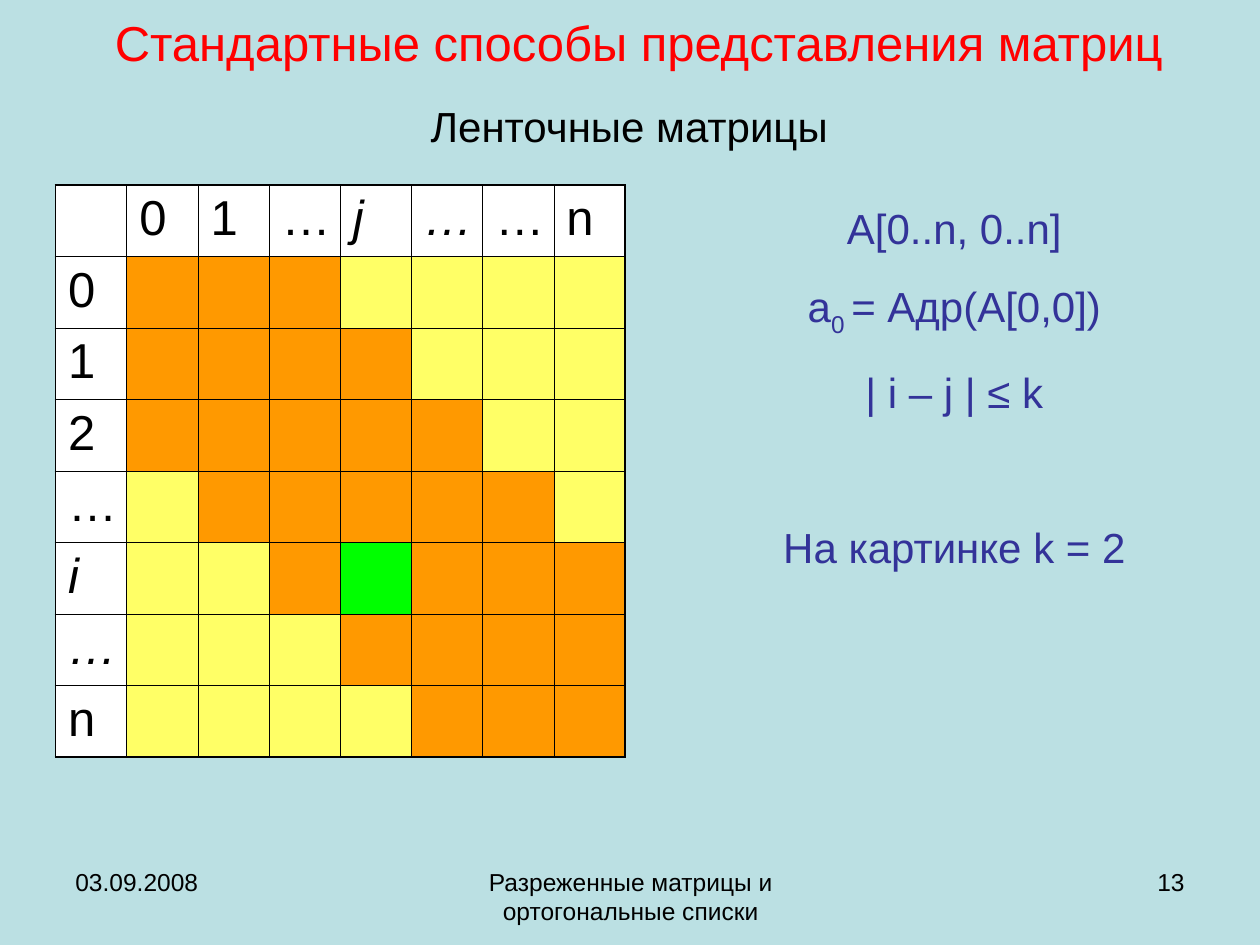
from dataclasses import dataclass
from typing import Any

from lxml import etree
from pptx import Presentation, util as u
from pptx.dml.color import RGBColor
from pptx.enum import text as t
from pptx.oxml.ns import qn

FONT = "Arial"
HUES = {
    "back": "BBE0E3", "title": "FF0000", "note": "333399", "ink": "000000",
    "head": "FFFFFF", "band": "FF9900", "rest": "FFFF66", "mark": "00FF00",
}
COLS = ["0", "1", "…", "j", "…", "…", "n"]
ROWS = ["0", "1", "2", "…", "i", "…", "n"]
SLANT_COLS = (3, 4)
SLANT_ROWS = (4, 5)
WIDTH = 2  # half-width k of the band
MARK = (4, 3)  # cell at row i, column j
SIDE = 1.44  # cell height in cm
LEFT, CENTER, RIGHT = t.PP_ALIGN.LEFT, t.PP_ALIGN.CENTER, t.PP_ALIGN.RIGHT


@dataclass
class Label:
    lines: list[str]
    left: float
    top: float
    width: float
    height: float
    size: int
    align: Any = CENTER
    hue: str = "ink"


TITLE = Label(["Стандартные способы представления матриц"],
              1.47, 0.43, 22.86, 0.84, 28, hue="title")
NOTES = Label(["A[0..n, 0..n]", "a", "| i – j | ≤ k", "На картинке k = 2"],
              13.08, 3.96, 12.32, 7.59, 24, hue="note")
LABELS = [
    Label(["Ленточные матрицы"], 3.25, 1.91, 18.87, 1.27, 24),
    Label(["Разреженные матрицы и ортогональные списки"],
          8.69, 17.35, 8.05, 1.32, 14),
    Label(["13"], 18.21, 17.35, 5.92, 1.32, 14, RIGHT),
    Label(["03.09.2008"], 1.27, 17.35, 5.92, 1.32, 14, LEFT),
]


def color(name: str) -> RGBColor:
    return RGBColor.from_string(HUES[name])


def style(font: Any, size: int, hue: str) -> None:
    font.name = FONT
    font.size = u.Pt(size)
    font.color.rgb = color(hue)


def write(slide: Any, label: Label) -> Any:
    box = slide.shapes.add_textbox(
        u.Cm(label.left), u.Cm(label.top), u.Cm(label.width), u.Cm(label.height))
    frame = box.text_frame
    frame.word_wrap = True
    frame.text = "\n".join(label.lines)
    for para in frame.paragraphs:
        para.alignment = label.align
        for run in para.runs:
            style(run.font, label.size, label.hue)
    return frame


def add_title(slide: Any) -> None:
    frame = write(slide, TITLE)
    frame.vertical_anchor = t.MSO_ANCHOR.MIDDLE
    frame.margin_left, frame.margin_right = u.Cm(0.05), u.Cm(0.1)
    frame.margin_top = frame.margin_bottom = u.Cm(0.03)


def add_notes(slide: Any) -> None:
    """Write the formulas, with a subscript and a wide gap before the last."""
    paras = write(slide, NOTES).paragraphs
    for para, gap in zip(paras[1:], (16, 16, 60)):
        para.space_before = u.Pt(gap)
    for words, base in (("0 ", "-25000"), ("= Адр(A[0,0])", "0")):
        run = paras[1].add_run()
        run.text = words
        style(run.font, NOTES.size, NOTES.hue)
        run._r.get_or_add_rPr().set("baseline", base)


def edge(cell: Any, row: int, col: int) -> None:
    """Give a cell thin borders, thicker along the rim of the table."""
    rims = {"lnL": col == 0, "lnR": col == len(COLS),
            "lnT": row == 0, "lnB": row == len(ROWS)}
    props = cell._tc.get_or_add_tcPr()
    for tag, rim in rims.items():
        width = u.Pt(1.08 if rim else 0.45)
        line = etree.SubElement(props, qn(f"a:{tag}"), w=str(int(width)))
        fill = etree.SubElement(line, qn("a:solidFill"))
        etree.SubElement(fill, qn("a:srgbClr"), val=HUES["ink"])


def shade(row: int, col: int) -> str:
    if (row, col) == MARK:
        return "mark"
    return "band" if abs(row - col) <= WIDTH else "rest"


def head(cell: Any, words: str, slant: bool) -> None:
    cell.text = words
    font = cell.text_frame.paragraphs[0].runs[0].font
    style(font, 28, "ink")
    font.italic = slant


def add_matrix(slide: Any) -> None:
    high, wide = len(ROWS) + 1, len(COLS) + 1
    table = slide.shapes.add_table(
        high, wide, u.Cm(1.12), u.Cm(3.73),
        u.Cm(11.48), u.Cm(SIDE * high)).table
    table.first_row = table.horz_banding = False
    for row in range(high):
        for col in range(wide):
            cell = table.cell(row, col)
            edge(cell, row, col)
            cell.fill.solid()
            inner = row > 0 and col > 0
            hue = shade(row - 1, col - 1) if inner else "head"
            cell.fill.fore_color.rgb = color(hue)
    for i, words in enumerate(COLS):
        head(table.cell(0, i + 1), words, i in SLANT_COLS)
    for i, words in enumerate(ROWS):
        head(table.cell(i + 1, 0), words, i in SLANT_ROWS)


def main() -> None:
    deck = Presentation()
    deck.slide_width, deck.slide_height = u.Cm(25.4), u.Cm(19.05)
    slide = deck.slides.add_slide(deck.slide_layouts[6])
    slide.background.fill.solid()
    slide.background.fill.fore_color.rgb = color("back")
    add_title(slide)
    add_matrix(slide)
    add_notes(slide)
    for label in LABELS:
        write(slide, label)
    deck.save("out.pptx")


if __name__ == "__main__":
    main()
